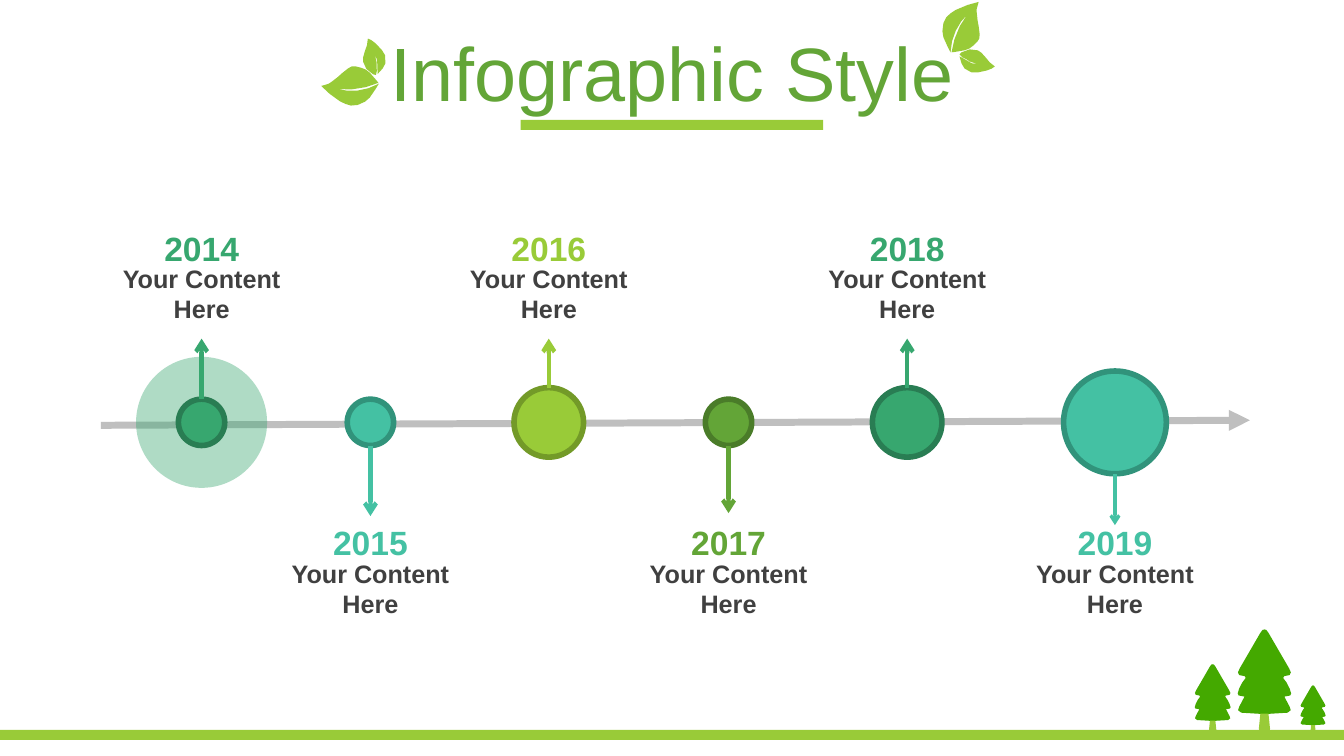
from dataclasses import dataclass
from math import cos, radians, sin

from lxml import etree
from pptx import Presentation
from pptx.dml.color import RGBColor
from pptx.enum.shapes import MSO_CONNECTOR, MSO_SHAPE
from pptx.enum.text import MSO_ANCHOR, PP_ALIGN
from pptx.oxml.ns import qn
from pptx.util import Pt

RECT = MSO_SHAPE.RECTANGLE
OVAL = MSO_SHAPE.OVAL
STRAIGHT = MSO_CONNECTOR.STRAIGHT
CENTER = PP_ALIGN.CENTER
TOP = MSO_ANCHOR.TOP
MIDDLE = MSO_ANCHOR.MIDDLE


@dataclass(frozen=True)
class Theme:
    font: str = "Arial"
    title_size: int = 54
    year_size: int = 24
    content_size: int = 18
    green: str = "63A537"
    green_dark: str = "4A7C29"
    lime: str = "99CB38"
    lime_dark: str = "739A28"
    emerald: str = "37A76F"
    emerald_dark: str = "297D53"
    teal: str = "44C1A3"
    teal_dark: str = "31937B"
    tree: str = "44A900"
    axis: str = "BFBFBF"
    text: str = "404040"


THEME = Theme()

AXIS_Y = 301.7
LABEL_WIDTH = 159.1
UP_TIP = 241.9
UP_LABEL, DOWN_LABEL = 159.1, 369.4

MILESTONES = [
    ("2014", 144, 33.1, THEME.emerald, THEME.emerald_dark, UP_TIP, UP_LABEL, 3),
    ("2015", 264.6, 33.1, THEME.teal, THEME.teal_dark, 368.6, DOWN_LABEL, 3),
    ("2016", 392, 49.7, THEME.lime, THEME.lime_dark, UP_TIP, UP_LABEL, 3),
    ("2017", 520.4, 33.1, THEME.green, THEME.green_dark, 366.5, DOWN_LABEL, 3),
    ("2018", 648, 49.7, THEME.emerald, THEME.emerald_dark, UP_TIP, UP_LABEL, 3),
    ("2019", 796.4, 73.4, THEME.teal, THEME.teal_dark, 375.1, DOWN_LABEL, 2.25),
]

BIG_LEAF = [
    (-10.4, 17.6), (-9.3, 9.6), (-6.7, 2.2), (-2.8, -4.4), (2.5, -10.4),
    (1.8, -9.7), (-3.7, -1.2), (-7.6, 8.3), (-9.7, 17.6), (-7.6, 17.4),
    (-0.4, 16.2), (3.2, 14.8), (6.1, 12.6), (9, 9.7), (10.2, 7.6),
    (10.4, 4.7), (9.7, -1.1), (9, -4.7), (8.3, -11.2), (8.3, -13.3),
    (9.7, -18.4), (1.8, -16.2), (-6.8, -12.6), (-10.4, -10.2), (-13.3, -7.6),
    (-15.5, -3.2), (-16.2, 2.5), (-15.5, 6.8), (-12.6, 13.3),
]
SMALL_LEAF = [
    (14.8, 27), (4.7, 25.4), (-4, 20.5), (-3.2, 23.4), (-2.5, 25.6),
    (-0.4, 29.2), (4.7, 32), (9, 32), (15.5, 30.6), (19.1, 29.2),
    (21.2, 27.7), (17.6, 24.8), (14, 20.5), (11.5, 17.8), (9, 16.2),
    (3.2, 15.5), (-2.5, 17.6), (-4, 19.1), (-1.8, 21.2), (1.1, 22.7),
    (3.2, 24.1), (9.7, 26.3),
]
HALF_CROWN = [
    (0, -60.2), (1.4, -59.8), (3, -57.6), (17.6, -32.4), (18.9, -29.5),
    (18, -27.6), (14, -26.8), (13.4, -25.5), (15.8, -22.3), (18, -18),
    (19.1, -14.4), (18.4, -13), (14.2, -12.2), (18, -5), (18.8, -2.5),
    (16.5, -0.7), (3, 0.1),
]
HALF_TRUNK = [(2.9, 0), (4, 10.8), (3, 14.4), (0, 15.6)]


def rgb(color):
    return RGBColor.from_string(color)


def paint(sp, color, border=None, alpha=None):
    sp.shadow.inherit = False
    sp.fill.solid()
    sp.fill.fore_color.rgb = rgb(color)
    if alpha:
        clr = sp.fill._xPr.find(".//" + qn("a:srgbClr"))
        etree.SubElement(clr, qn("a:alpha")).set("val", str(alpha * 1000))
    if border:
        sp.line.color.rgb = rgb(border)
        sp.line.width = Pt(4)
    else:
        sp.line.fill.background()


def add_bar(s, x, y, w, h, color):
    paint(s.shapes.add_shape(RECT, Pt(x), Pt(y), Pt(w), Pt(h)), color)


def add_circle(s, cx, cy, d, color, border=None, alpha=None):
    sp = s.shapes.add_shape(OVAL, Pt(cx - d / 2), Pt(cy - d / 2), Pt(d), Pt(d))
    paint(sp, color, border, alpha)


def add_outline(s, points, color):
    start, *rest = [(Pt(x), Pt(y)) for x, y in points]
    fb = s.shapes.build_freeform(*start, scale=1.0)
    fb.add_line_segments(rest, close=True)
    paint(fb.convert_to_shape(), color)


def add_sprig(s, cx, cy, angle):
    c, n = cos(radians(angle)), sin(radians(angle))
    for leaf in (BIG_LEAF, SMALL_LEAF):
        points = [(cx + x * c - y * n, cy + x * n + y * c) for x, y in leaf]
        add_outline(s, points, THEME.lime)


def add_tree(s, cx, base, scale):
    for half, color in ((HALF_CROWN, THEME.tree), (HALF_TRUNK, THEME.lime)):
        both = half + [(-x, y) for x, y in reversed(half)]
        add_outline(s, [(cx + x * scale, base + y * scale) for x, y in both], color)


def add_arrow(s, x1, y1, x2, y2, color, width, head):
    cn = s.shapes.add_connector(STRAIGHT, Pt(x1), Pt(y1), Pt(x2), Pt(y2))
    cn.line.color.rgb = rgb(color)
    cn.line.width = Pt(width)
    etree.SubElement(cn.line._get_or_add_ln(), qn("a:tailEnd")).set("type", head)
    etree.SubElement(cn._element.spPr, qn("a:effectLst"))


def add_text(s, text, x, y, w, h, size, color, bold=True, anchor=TOP, para=None):
    tf = s.shapes.add_textbox(Pt(x), Pt(y), Pt(w), Pt(h)).text_frame
    tf.word_wrap = True
    tf.vertical_anchor = anchor
    p = tf.paragraphs[0]
    for name, value in {"alignment": CENTER, **(para or {})}.items():
        setattr(p, name, value)
    r = p.add_run()
    r.text = text
    for name, value in {"name": THEME.font, "size": Pt(size), "bold": bold}.items():
        setattr(r.font, name, value)
    r.font.color.rgb = rgb(color)


def add_milestone(s, year, cx, d, color, border, tip, label_y, width):
    add_circle(s, cx, AXIS_Y, d, color, border)
    edge = AXIS_Y + (d / 2 if tip > AXIS_Y else -d / 2)
    add_arrow(s, cx, edge, cx, tip, color, width, "arrow")
    x = cx - LABEL_WIDTH / 2
    add_text(s, year, x, label_y, LABEL_WIDTH, 36, THEME.year_size, color)
    add_text(s, "Your Content Here", x, label_y + 25.5, LABEL_WIDTH, 51,
             THEME.content_size, THEME.text)


def main():
    prs = Presentation()
    prs.slide_width, prs.slide_height = Pt(960), Pt(540)
    s = prs.slides.add_slide(prs.slide_layouts[6])

    for tree in ((903.2, 509.8, 1), (937.9, 517.9, 0.47), (866.2, 514.8, 0.67)):
        add_tree(s, *tree)
    add_sprig(s, 689.4, 19.8, 0)
    add_sprig(s, 250.2, 60.1, 238.6)
    add_bar(s, 372, 85.7, 216, 7.2, THEME.lime)
    add_bar(s, 0, 521.3, 960, 7.2, THEME.lime)
    add_text(s, "Infographic Style", 24.5, 26.6, 911.5, 56.9, THEME.title_size,
             THEME.green, bold=False, anchor=MIDDLE,
             para={"line_spacing": 0.9, "space_before": Pt(10)})

    add_arrow(s, 72, 303.8, 892.8, 300.2, THEME.axis, 5, "triangle")
    add_circle(s, 144, AXIS_Y, 93.6, THEME.emerald, alpha=40)
    for milestone in MILESTONES:
        add_milestone(s, *milestone)

    prs.save("out.pptx")


if __name__ == "__main__":
    main()
